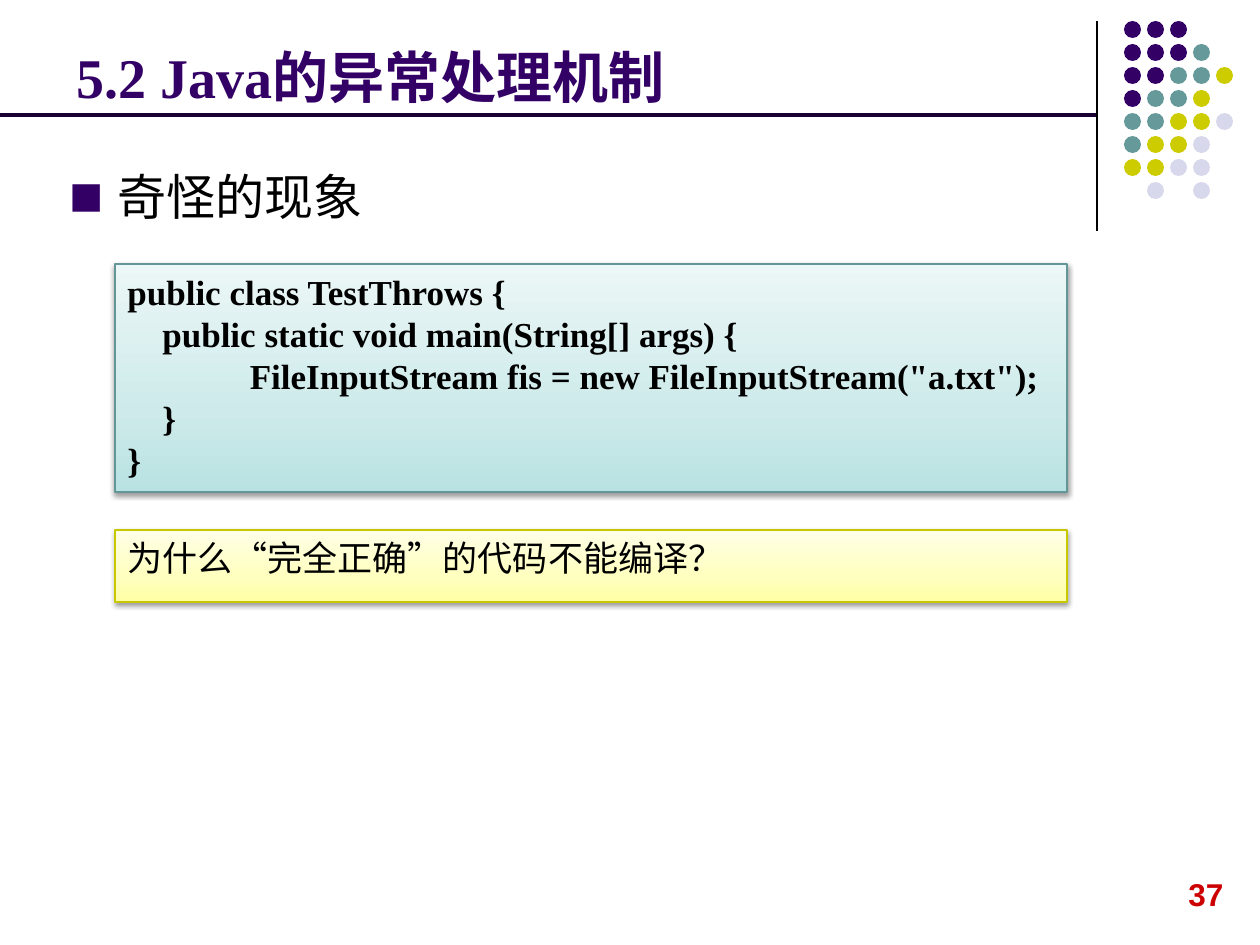
"""Build the slide on exception handling in Java."""
from pptx import Presentation
from pptx.dml.color import RGBColor
from pptx.enum.shapes import MSO_CONNECTOR, MSO_SHAPE
from pptx.enum.text import MSO_ANCHOR, MSO_AUTO_SIZE, PP_ALIGN
from pptx.oxml import parse_xml
from pptx.oxml.ns import nsdecls, qn
from pptx.util import Emu, Pt

PURPLE = RGBColor(0x33, 0x00, 0x66)
DARK = RGBColor(0x19, 0x00, 0x33)
TEAL = RGBColor(0x66, 0x99, 0x99)
OLIVE = RGBColor(0xCC, 0xCC, 0x00)
LILAC = RGBColor(0xD8, 0xD8, 0xEC)
BLACK = RGBColor(0x00, 0x00, 0x00)
RED = RGBColor(0xCC, 0x00, 0x00)
TEAL_EDGE = RGBColor(0x63, 0x97, 0x97)
YELLOW_EDGE = RGBColor(0xC8, 0xC8, 0x00)
TEAL_FADE = [RGBColor(0xB9, 0xE2, 0xE2), RGBColor(0xCE, 0xEA, 0xEA), RGBColor(0xEC, 0xF7, 0xF7)]
YELLOW_FADE = [RGBColor(0xFF, 0xFF, 0xA5), RGBColor(0xFF, 0xFF, 0xBF), RGBColor(0xFF, 0xFF, 0xE7)]
SERIF = "Times New Roman"
CJK = "Noto Sans CJK SC"
CODE = """public class TestThrows {
    public static void main(String[] args) {
              FileInputStream fis = new FileInputStream("a.txt");
    }
}"""


def px(*lengths):
    return [Emu(round(n * 914400 / 126)) for n in lengths]


def write(sp, text, size=20, font=SERIF, color=BLACK, bold=False, anchor=MSO_ANCHOR.TOP, wrap=True):
    tf = sp.text_frame
    tf.auto_size = MSO_AUTO_SIZE.NONE
    tf.word_wrap = wrap
    tf.vertical_anchor = anchor
    for i, line in enumerate(text.split("\n")):
        p = tf.add_paragraph() if i else tf.paragraphs[0]
        p.alignment = PP_ALIGN.LEFT
        r = p.add_run()
        r.text = line
        r.font.size = Pt(size)
        r.font.name = font
        r.font.bold = bold
        r.font.color.rgb = color
        r.font._element.find(qn("a:latin")).addnext(
            parse_xml(f'<a:ea {nsdecls("a")} typeface="{CJK}"/>'))


prs = Presentation()
prs.slide_width, prs.slide_height = px(1260, 945)
s = prs.slides.add_slide(prs.slide_layouts[5])

for ends, color, width in [((1097, 21, 1097, 231), BLACK, 0.75), ((0, 115, 1096, 115), DARK, 2.25)]:
    line = s.shapes.add_connector(MSO_CONNECTOR.STRAIGHT, *px(*ends))
    line.line.color.rgb = color
    line.line.width = Pt(width)
    line._element.spPr.append(parse_xml(f'<a:effectLst {nsdecls("a")}/>'))

dot_colors = {"P": PURPLE, "T": TEAL, "O": OLIVE, "L": LILAC}
dot_rows = ["PPP", "PPPT", "PPTTO", "PTTO", "TTOOL", "TOOL", "OOLL", "-L-L"]
for row, keys in enumerate(dot_rows):
    for col, key in enumerate(keys):
        if key in dot_colors:
            sp = s.shapes.add_shape(MSO_SHAPE.OVAL, *px(1124 + 23 * col, 21 + 23 * row, 17, 17))
            sp.shadow.inherit = False
            sp.fill.solid()
            sp.fill.fore_color.rgb = dot_colors[key]
            sp.line.fill.background()

title = s.shapes.title
title.left, title.top, title.width, title.height = px(57, 130, 1040, 102)
write(title, "奇怪的现象", size=28, anchor=MSO_ANCHOR.BOTTOM)
pPr = title.text_frame.paragraphs[0]._p.get_or_add_pPr()
indent = px(48)[0]
pPr.set("marL", str(indent))
pPr.set("indent", str(-indent))
for bullet in [f'<a:buClr {nsdecls("a")}><a:srgbClr val="{PURPLE}"/></a:buClr>',
               f'<a:buSzPct {nsdecls("a")} val="70000"/>',
               f'<a:buFont {nsdecls("a")} typeface="{CJK}"/>',
               f'<a:buChar {nsdecls("a")} char="■"/>']:
    pPr.append(parse_xml(bullet))

heading = s.shapes.add_textbox(*px(64, 16, 1040, 100))
write(heading, "5.2 Java的异常处理机制", size=32, color=PURPLE, bold=True, anchor=MSO_ANCHOR.BOTTOM)

for top, height, fade, edge, text, font, bold in [
        (264, 228, TEAL_FADE, TEAL_EDGE, CODE, SERIF, True),
        (530, 72, YELLOW_FADE, YELLOW_EDGE, "为什么“完全正确”的代码不能编译？", CJK, False)]:
    sp = s.shapes.add_shape(MSO_SHAPE.RECTANGLE, *px(115, top, 952, height))
    stops = "".join(f'<a:gs pos="{pos}"><a:srgbClr val="{color}"/></a:gs>'
                    for pos, color in zip((0, 35000, 100000), fade))
    sp._element.spPr.find(qn("a:prstGeom")).addnext(parse_xml(
        f'<a:gradFill {nsdecls("a")} rotWithShape="1"><a:gsLst>{stops}</a:gsLst>'
        '<a:lin ang="16200000" scaled="0"/></a:gradFill>'))
    sp.line.color.rgb = edge
    sp.line.width = Pt(0.75)
    sp._element.spPr.append(parse_xml(
        f'<a:effectLst {nsdecls("a")}><a:outerShdw blurRad="40000" dist="20000" dir="5400000" '
        'rotWithShape="0"><a:srgbClr val="000000"><a:alpha val="38000"/></a:srgbClr>'
        '</a:outerShdw></a:effectLst>'))
    write(sp, text, font=font, bold=bold)

number = s.shapes.add_textbox(*px(1176, 869, 60, 50))
write(number, "37", size=18, font="Arial", color=RED, bold=True, wrap=False)

prs.save("out.pptx")
